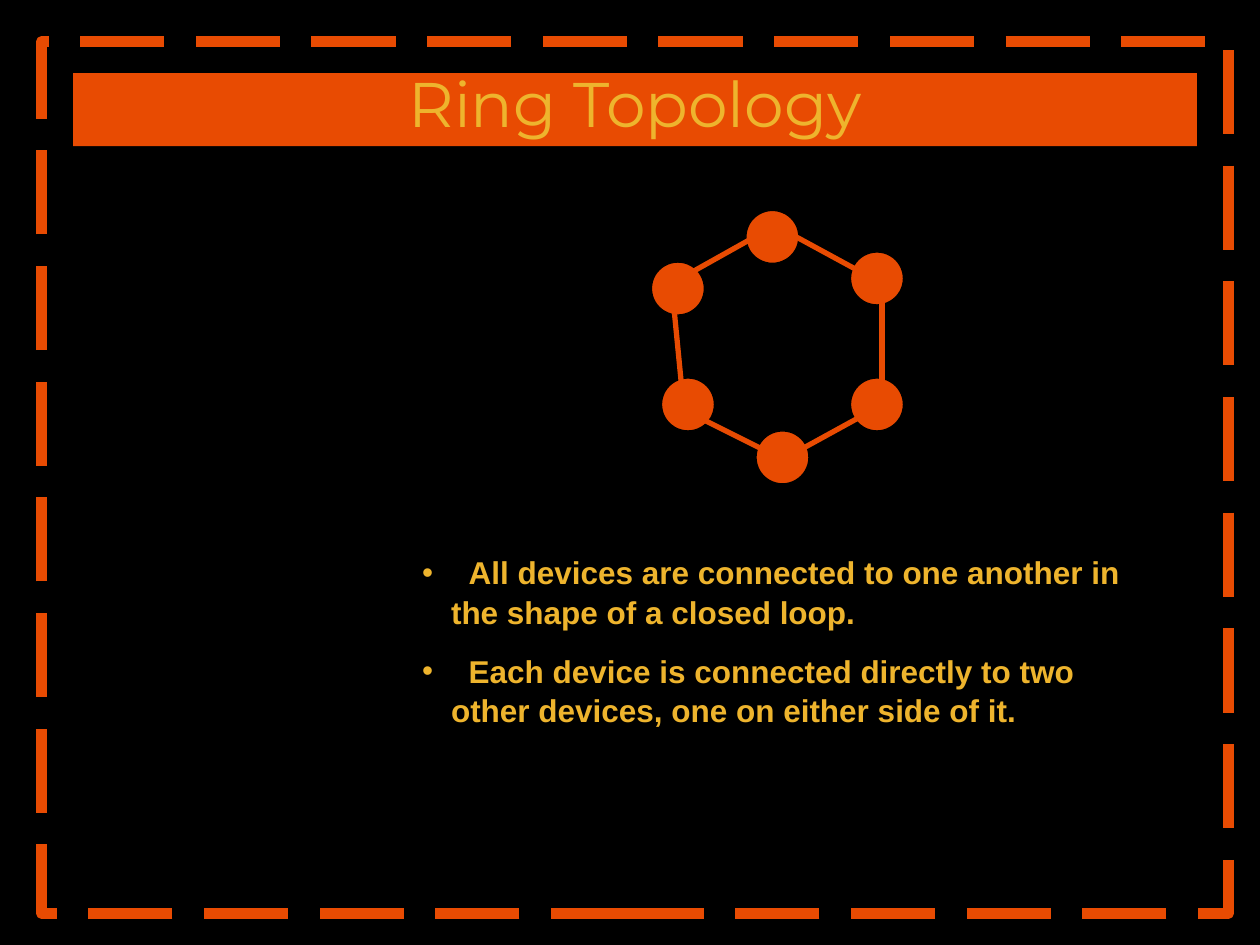
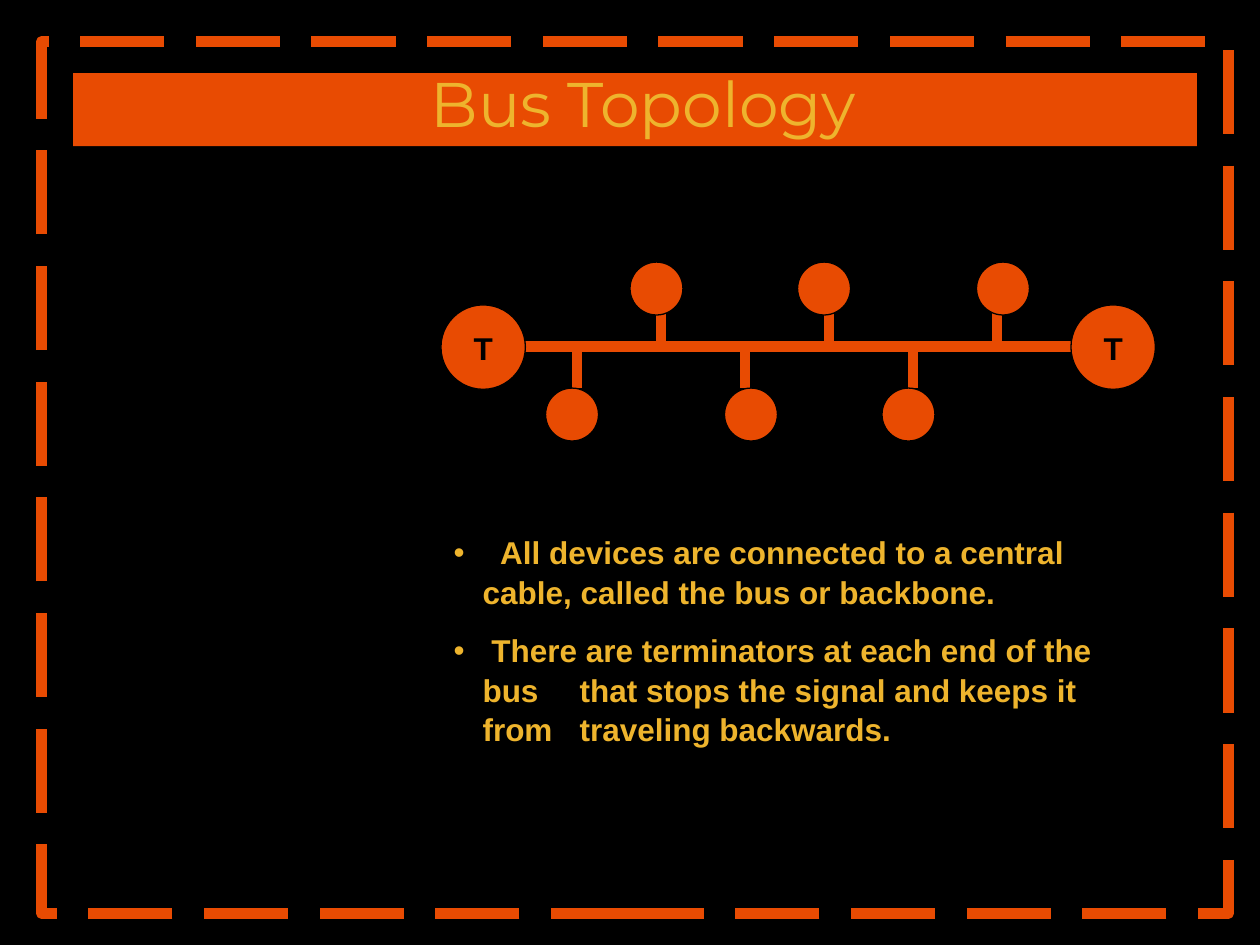
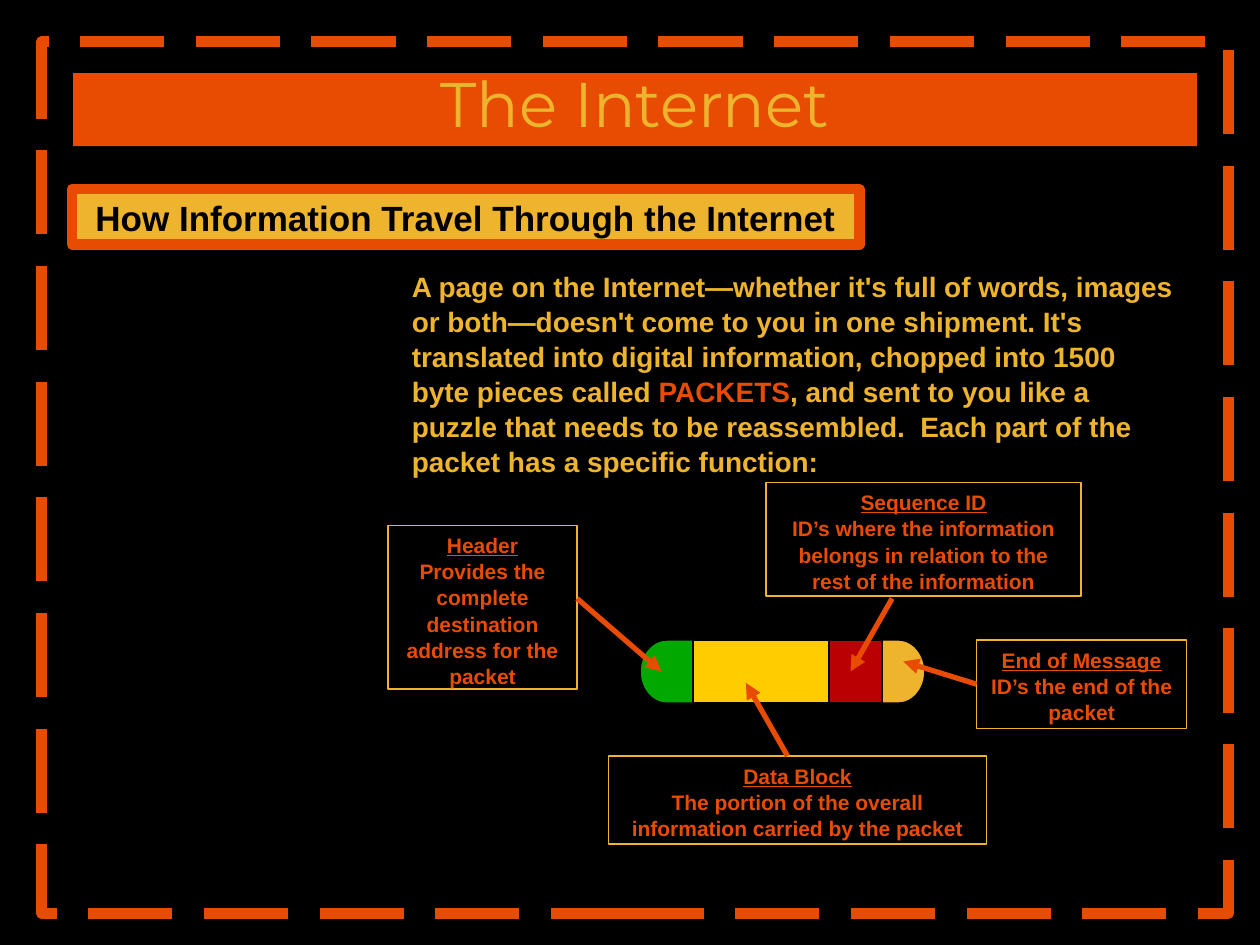
"""Build three slides on network topologies and how the Internet carries packets."""
from dataclasses import dataclass

from lxml import etree
from pptx import Presentation
from pptx.dml.color import RGBColor
from pptx.enum.dml import MSO_LINE
from pptx.enum.shapes import MSO_CONNECTOR, MSO_SHAPE
from pptx.enum.text import MSO_ANCHOR, MSO_AUTO_SIZE, PP_ALIGN
from pptx.oxml.ns import qn
from pptx.util import Inches, Pt

RECT, OVAL, DELAY = MSO_SHAPE.RECTANGLE, MSO_SHAPE.OVAL, MSO_SHAPE.FLOWCHART_DELAY
LINE = MSO_CONNECTOR.STRAIGHT
LEFT, CENTER = PP_ALIGN.LEFT, PP_ALIGN.CENTER
TOP, MIDDLE = MSO_ANCHOR.TOP, MSO_ANCHOR.MIDDLE
LONG_DASH, NO_FIT = MSO_LINE.LONG_DASH, MSO_AUTO_SIZE.NONE


@dataclass(frozen=True)
class Theme:
    black: str = "000000"
    orange: str = "E84B02"
    gold: str = "EEB42D"
    green: str = "00A800"
    yellow: str = "FFCC00"
    red: str = "BA0003"
    title_font: str = "Montserrat"
    text_font: str = "Arial"
    title: int = 36
    heading: int = 20
    body: int = 18
    passage: int = 16
    label: int = 12


T = Theme()


def write(tf, text, *, size=T.body, color=T.gold, font=T.text_font, bold=True,
          underline=False, align=LEFT, anchor=TOP, wrap=True, spacing=1.04,
          before=0, stops=(), new=True):
    """Add text to a frame, in a new paragraph unless new is False."""
    tf.word_wrap = wrap
    tf.auto_size = NO_FIT
    tf.vertical_anchor = anchor
    if new and tf.text:
        tf.add_paragraph()
    p = tf.paragraphs[-1]
    p.alignment, p.line_spacing, p.space_before = align, spacing, Pt(before)
    if stops:
        pPr = p._p.get_or_add_pPr()
        pPr.set("marL", str(Inches(0.23)))
        pPr.set("indent", str(-Inches(0.23)))
        etree.SubElement(pPr, qn("a:buFont"), typeface=T.text_font)
        etree.SubElement(pPr, qn("a:buChar"), char="•")
        tabs = etree.SubElement(pPr, qn("a:tabLst"))
        for stop in stops:
            etree.SubElement(tabs, qn("a:tab"), pos=str(Inches(stop)), algn="l")
    r = p.add_run()
    r.text = text
    r.font.size, r.font.name = Pt(size), font
    r.font.bold, r.font.underline = bold, underline
    r.font.color.rgb = RGBColor.from_string(color)


def draw(s, kind, box, *, fill=None, line=T.black, width=0.75, arrow=False):
    """Draw a preset shape in a box, or a line between the box's two points."""
    box = [Inches(v) for v in box]
    if kind is LINE:
        sp = s.shapes.add_connector(kind, *box)
    else:
        sp = s.shapes.add_shape(kind, *box)
        sp.shadow.inherit = False
        if fill:
            sp.fill.solid()
            sp.fill.fore_color.rgb = RGBColor.from_string(fill)
        else:
            sp.fill.background()
    sp.line.color.rgb = RGBColor.from_string(line)
    sp.line.width = Pt(width)
    if kind is LINE:
        if arrow:
            etree.SubElement(sp.line._get_or_add_ln(), qn("a:tailEnd"), type="triangle")
        etree.SubElement(sp._element.spPr, qn("a:effectLst"))
    return sp


prs = Presentation()
prs.slide_width, prs.slide_height = Inches(10), Inches(7.5)
background = prs.slide_master.background.fill
background.solid()
background.fore_color.rgb = RGBColor.from_string(T.black)

pages = [
    ("Ring Topology", (3.25, 4.33, 5.92, 1.46), [
        ("\tAll devices are connected to one another in the shape of a closed loop.", 0.37),
        ("\tEach device is connected directly to two other devices, one on either side of it.", 0.37),
    ]),
    (" Bus Topology", (3.5, 4.17, 5.67, 1.76), [
        ("\tAll devices are connected to a central cable, called the bus or backbone.", 0.37),
        ("\tThere are terminators at each end of the bus \tthat stops the signal "
         "and keeps it from \ttraveling backwards.", 0.3),
    ]),
    ("The Internet", None, []),
]
for title, list_box, items in pages:
    s = prs.slides.add_slide(prs.slide_layouts[1 if items else 5])
    frame = draw(s, RECT, (0.33, 0.33, 9.42, 6.92), line=T.orange, width=6)
    frame.line.dash_style = LONG_DASH
    band = s.shapes.title
    band.left, band.top, band.width, band.height = map(Inches, (0.58, 0.58, 8.92, 0.58))
    band.fill.solid()
    band.fill.fore_color.rgb = RGBColor.from_string(T.orange)
    tf = band.text_frame
    tf.margin_left = tf.margin_top = tf.margin_right = tf.margin_bottom = 0
    write(tf, title, size=T.title, font=T.title_font, bold=False,
          align=CENTER, anchor=MIDDLE, spacing=0.8)
    if items:
        body = s.placeholders[1]
        body.left, body.top, body.width, body.height = map(Inches, list_box)
        for i, (text, lead) in enumerate(items):
            write(body.text_frame, text, before=11.2 if i else 0, stops=(lead, 1))

ring, bus, internet = prs.slides
node = 0.42

for x, y in [(5.17, 2.08), (6.75, 3), (5.25, 3), (6, 3.42), (6.75, 2), (5.92, 1.67)]:
    draw(ring, OVAL, (x, y, node, node), fill=T.orange)
for ends in [(5.33, 2.25, 6.08, 1.83), (5.42, 3.17, 5.33, 2.25), (7, 3.08, 7, 2.33),
             (5.42, 3.25, 6.08, 3.58), (7, 2.25, 6.08, 1.75), (6.17, 3.67, 7.08, 3.17)]:
    draw(ring, LINE, ends, line=T.orange, width=3)

bus_y = 2.75
draw(bus, LINE, (4.08, bus_y, 8.75, bus_y), line=T.orange, width=6)
for i, x in enumerate([4.33, 5, 5.75, 6.33, 7, 7.75]):
    tap_x = 4.58 + i * 2 / 3
    tap_end, node_y = (2.42, 2.08) if i % 2 else (3.08, 3.08)
    draw(bus, LINE, (tap_x, bus_y, tap_x, tap_end), line=T.orange, width=6)
    draw(bus, OVAL, (x, node_y, node, node), fill=T.orange)
for x in (3.5, 8.5):
    terminator = draw(bus, OVAL, (x, 2.42, 0.67, 0.67), fill=T.orange)
    write(terminator.text_frame, "T", color=T.black, align=CENTER, anchor=MIDDLE, wrap=False)

heading = draw(internet, RECT, (0.57, 1.5, 6.25, 0.44), fill=T.gold, line=T.orange, width=6)
write(heading.text_frame, "How Information Travel Through the Internet",
      size=T.heading, color=T.black, align=CENTER)

passage = internet.shapes.add_textbox(*map(Inches, (3.17, 2.08, 6.25, 1.7)))
for text, color in [
    ("A page on the Internet—whether it's full of words, images or both—doesn't come to you "
     "in one shipment. It's translated into digital information, chopped into 1500 byte "
     "pieces called ", T.gold),
    ("PACKETS", T.orange),
    (", and sent to you like a puzzle that needs to be reassembled.  Each part of the packet "
     "has a specific function:", T.gold),
]:
    write(passage.text_frame, text, size=T.passage, color=color, new=False)

for kind, x, width, fill, turn in [
    (DELAY, 5.08, 0.42, T.green, 180), (DELAY, 6.92, 0.42, T.gold, 0),
    (RECT, 5.5, 1.08, T.yellow, 0), (RECT, 6.58, 0.42, T.red, 0),
]:
    part = draw(internet, kind, (x, 5.08, width, 0.5), fill=fill)
    part.rotation = turn

for name, text, box, ends in [
    ("Header", "Provides the complete destination address for the packet",
     (3.08, 4.17, 1.5, 1.3), (4.58, 4.75, 5.25, 5.33)),
    ("Data Block", "The portion of the overall information carried by the packet",
     (4.83, 6, 3, 0.7), (6.25, 6, 5.92, 5.42)),
    ("Sequence ID", "ID’s where the information belongs in relation to the rest of the information",
     (6.08, 3.83, 2.5, 0.9), (7.08, 4.75, 6.75, 5.33)),
    ("End of Message", "ID’s the end of the packet",
     (7.75, 5.08, 1.67, 0.7), (7.75, 5.42, 7.17, 5.25)),
]:
    callout = draw(internet, RECT, box, line=T.gold)
    write(callout.text_frame, name, size=T.label, color=T.orange, underline=True, align=CENTER)
    write(callout.text_frame, text, size=T.label, color=T.orange, align=CENTER)
    pointer = draw(internet, LINE, ends, line=T.orange, width=3, arrow=True)
    if name == "End of Message":
        pointer.begin_connect(callout, 1)

prs.save("out.pptx")
